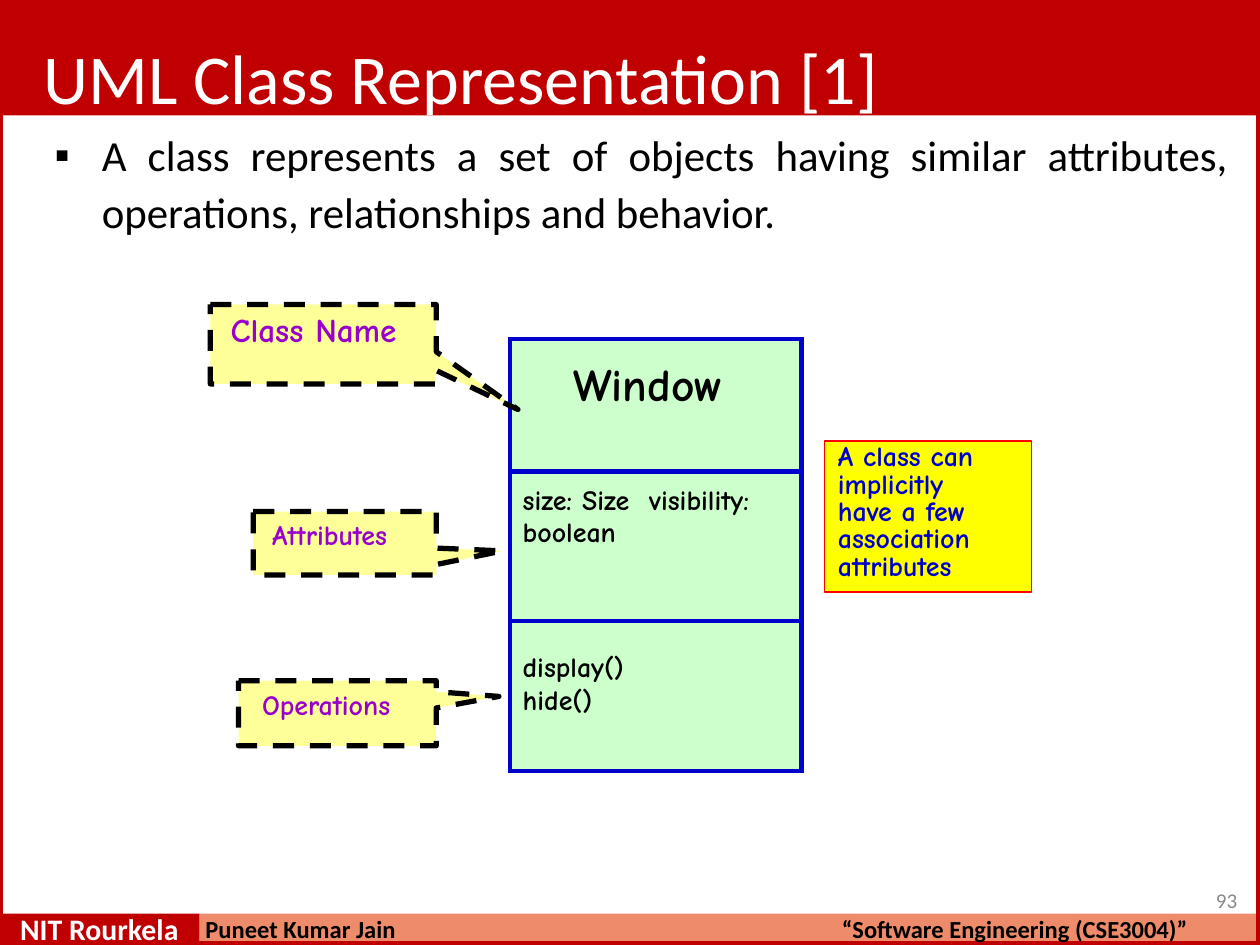
"""Builds a slide on how a UML class is drawn."""
import pptx
import pptx.util
import pptx.dml.color
import pptx.enum.dml
import pptx.enum.shapes
import pptx.enum.text
import pptx.oxml

Pt = pptx.util.Pt
RECTANGLE = pptx.enum.shapes.MSO_SHAPE.RECTANGLE
NAMESPACE = 'xmlns:a="http://schemas.openxmlformats.org/drawingml/2006/main"'


def paint(target, color):
    if hasattr(target, "solid"):
        target.solid()
        target = target.fore_color
        target.rgb = pptx.dml.color.RGBColor.from_string(color)
    else:
        target.color.rgb = pptx.dml.color.RGBColor.from_string(color)


def write(frame, text, size, font, color, bold=False, spacing=1.0):
    frame.text = text
    frame.word_wrap = True
    frame.vertical_anchor = pptx.enum.text.MSO_ANCHOR.TOP
    for paragraph in frame.paragraphs:
        paragraph.alignment = pptx.enum.text.PP_ALIGN.LEFT
        paragraph.line_spacing = spacing
        paragraph.space_before = Pt(0)
        paragraph.font.size = Pt(size)
        paragraph.font.name = font
        paragraph.font.bold = bold
        paint(paragraph.font, color)


presentation = pptx.Presentation()
presentation.slide_width, presentation.slide_height = Pt(720), Pt(540)
slide = presentation.slides.add_slide(presentation.slide_layouts[1])
shapes = slide.shapes
title, definition = shapes.title, slide.placeholders[1]

for left, top, width, height, color in [
    (0, 0, 720, 66, "C00000"),
    (114, 522, 606, 18, "EE8B6A"),
    (0, 522, 114, 18, "C00000"),
    (0, 0, 720, 540, None),
]:
    band = shapes.add_shape(RECTANGLE, Pt(left), Pt(top), Pt(width), Pt(height))
    band.shadow.inherit = False
    if color:
        paint(band.fill, color)
        band.line.fill.background()
    else:
        band.fill.background()
        paint(band.line, "C00000")
        band.line.width = Pt(4)

for placeholder, left, top, width, height in [
    (title, 25, 19.8, 520, 50),
    (definition, 30.2, 70.8, 671.8, 70),
]:
    shapes._spTree.append(placeholder._element)
    placeholder.left, placeholder.top = Pt(left), Pt(top)
    placeholder.width, placeholder.height = Pt(width), Pt(height)
    frame = placeholder.text_frame
    frame.margin_left = frame.margin_right = frame.margin_top = frame.margin_bottom = 0
    frame.auto_size = pptx.enum.text.MSO_AUTO_SIZE.NONE

write(title.text_frame, "UML Class Representation [1]", 40, "Calibri", "FFFFFF")
write(
    definition.text_frame,
    "A class represents a set of objects having similar attributes, "
    "operations, relationships and behavior.",
    24.5, "Calibri", "000000", spacing=1.1,
)
sentence = definition.text_frame.paragraphs[0]
sentence.alignment = pptx.enum.text.PP_ALIGN.JUSTIFY
properties = sentence._p.get_or_add_pPr()
properties.set("marL", str(Pt(28)))
properties.set("indent", str(-Pt(27)))
bullet = pptx.oxml.parse_xml(f'<a:buChar {NAMESPACE} char="▪"/>')
properties.find(pptx.oxml.ns.qn("a:defRPr")).addprevious(bullet)

class_box = shapes.add_table(3, 1, Pt(291.5), Pt(193.7), Pt(166.5), Pt(247)).table
class_box.first_row = class_box.horz_banding = False
compartments = [
    ("Window", 26, 75.6, 36, 12.2),
    ("size: Size  visibility: boolean", 16, 85.7, 7.2, 7.9),
    ("display()\nhide()", 16, 85.7, 7.2, 18),
]
for index, (text, size, height, indent, gap) in enumerate(compartments):
    class_box.rows[index].height = Pt(height)
    cell = class_box.cell(index, 0)
    cell.margin_left, cell.margin_top = Pt(indent), Pt(gap)
    cell.margin_right = cell.margin_bottom = 0
    write(cell.text_frame, text, size, "Comic Neue", "000000", True)
    for side in ("lnL", "lnR", "lnT", "lnB"):
        cell._tc.get_or_add_tcPr().append(pptx.oxml.parse_xml(
            f'<a:{side} {NAMESPACE} w="{Pt(3)}"><a:solidFill>'
            f'<a:srgbClr val="0000CC"/></a:solidFill></a:{side}>'
        ))
    paint(cell.fill, "CCFFCC")

callout_right = 249.3
for left, top, bottom, wedge_top, wedge_bottom, tip in [
    (120.2, 174, 219.4, 201, 211.7, (296, 234)),
    (144.7, 292.3, 328.5, 313.2, 322.6, (287.3, 314.8)),
    (136.3, 389, 426.2, 395.3, 404.6, (285.1, 398)),
]:
    outline = shapes.build_freeform(Pt(left), Pt(top))
    outline.add_line_segments([(Pt(x), Pt(y)) for x, y in [
        (callout_right, top), (callout_right, wedge_top), tip,
        (callout_right, wedge_bottom), (callout_right, bottom), (left, bottom),
    ]], close=True)
    callout = outline.convert_to_shape()
    callout.shadow.inherit = False
    paint(callout.fill, "FFFF99")
    paint(callout.line, "000000")
    callout.line.width = Pt(3)
    callout.line.dash_style = pptx.enum.dml.MSO_LINE.DASH

note = shapes.add_shape(RECTANGLE, Pt(471), Pt(252), Pt(118.5), Pt(86.4))
note.shadow.inherit = False
paint(note.fill, "FFFF00")
paint(note.line, "FF0000")
note.line.width = Pt(0.75)
note.text_frame.margin_left, note.text_frame.margin_top = Pt(7.8), Pt(2.5)
note.text_frame.margin_right = note.text_frame.margin_bottom = 0
write(
    note.text_frame,
    "A class can implicitly\nhave a few\nassociation\nattributes",
    16, "Comic Neue", "0000CC", True, Pt(15.6),
)

for text, left, top, width, height, size, font, color, bold, spacing in [
    ("Class Name", 131.8, 177, 115, 23, 19, "Comic Neue", "9900CC", True, 1.0),
    ("Attributes", 155.5, 295.8, 90, 20, 16, "Comic Neue", "9900CC", True, 1.0),
    ("Operations", 149.8, 393.1, 95, 20, 16, "Comic Neue", "9900CC", True, 1.0),
    ("93", 694.8, 509, 24, 14, 12, "Calibri", "888888", False, Pt(12.4)),
    ("NIT Rourkela", 11.5, 523.4, 100, 16, 17, "Calibri", "FFFFFF", True, Pt(17.2)),
    ("Puneet Kumar Jain", 117.4, 524.9, 130, 15, 14, "Calibri", "000000", True, Pt(14.2)),
    ("“Software Engineering (CSE3004)”", 481, 524.9, 220, 15, 14, "Calibri", "000000", True, Pt(14.2)),
]:
    label = shapes.add_textbox(Pt(left), Pt(top), Pt(width), Pt(height)).text_frame
    label.margin_left = label.margin_right = label.margin_top = label.margin_bottom = 0
    write(label, text, size, font, color, bold, spacing)

presentation.save("out.pptx")
